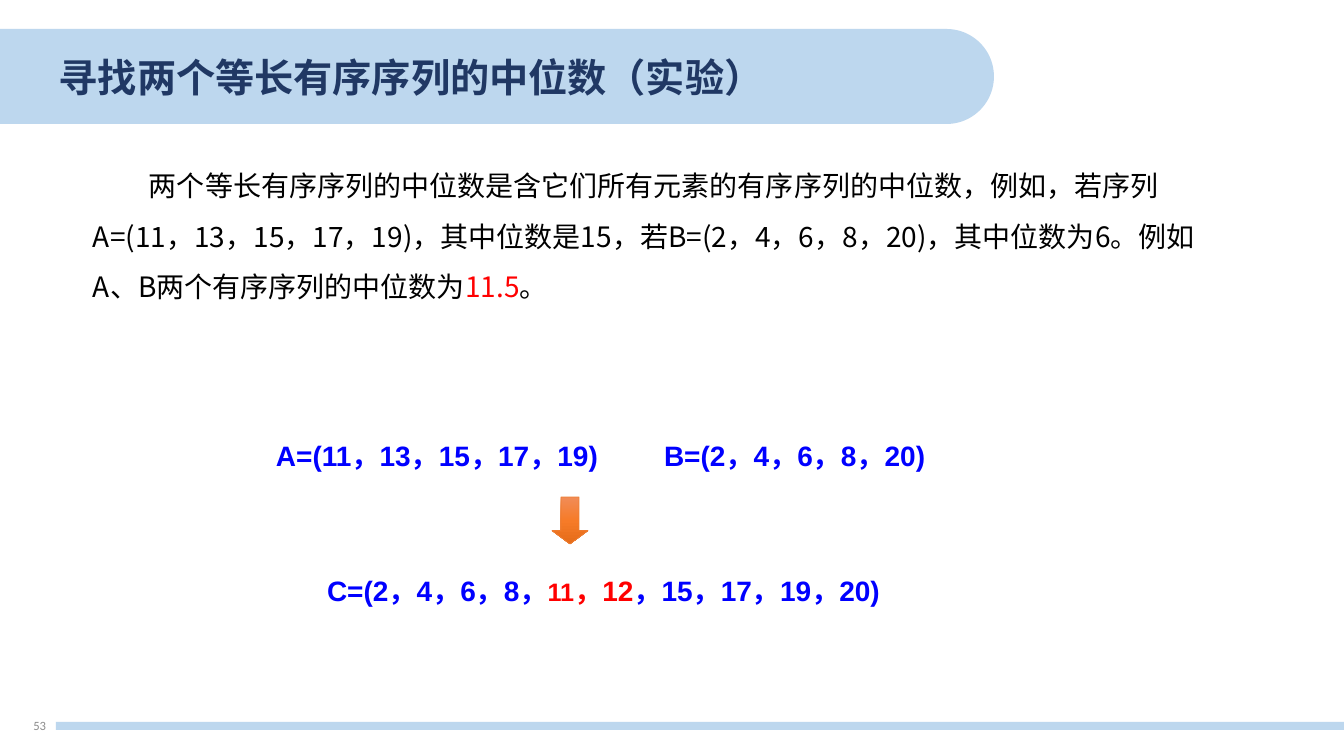
from copy import deepcopy
from dataclasses import dataclass

from lxml.etree import SubElement
from pptx import Presentation
from pptx.dml.color import RGBColor
from pptx.enum.shapes import MSO_SHAPE as Shape
from pptx.enum.text import MSO_ANCHOR as Anchor, MSO_AUTO_SIZE as AutoSize, PP_ALIGN as Align
from pptx.oxml.ns import qn
from pptx.util import Pt


@dataclass(frozen=True)
class Theme:
    band: str = "BDD7EE"
    heading: str = "203864"
    page: str = "8C8C8C"
    ink: str = "000000"
    sequence: str = "0000FF"
    accent: str = "FF0000"
    arrow_line: str = "ED7D31"
    arrow_stops: tuple = ((0, "F18C57"), (0.5, "F67B28"), (1, "E56C19"))
    cjk: str = "Noto Sans CJK SC"
    latin: str = "Arial"
    page_font: str = "Calibri"
    heading_size: int = 28
    body_size: int = 20
    median_size: int = 18
    page_size: int = 9


class SlideBuilder:
    """Draws styled elements on one slide, measured in px."""

    def __init__(self, deck, theme, emu_per_px):
        self.theme = theme
        self.scale = emu_per_px
        deck.slide_width, deck.slide_height = self.emu(1344, 756)
        self.slide = deck.slides.add_slide(deck.slide_layouts[6])

    def emu(self, *lengths):
        return [round(length * self.scale) for length in lengths]

    def shape(self, kind, box, fill=None, adjustments=()):
        shape = self.slide.shapes.add_shape(kind, *self.emu(*box))
        shape.shadow.inherit = False
        for index, value in enumerate(adjustments):
            shape.adjustments[index] = value
        if fill:
            shape.fill.solid()
            shape.fill.fore_color.rgb = RGBColor.from_string(fill)
            shape.line.fill.background()
        return shape

    def arrow(self, box):
        arrow = self.shape(Shape.DOWN_ARROW, box, adjustments=(0.5, 0.37))
        arrow.fill.gradient()
        arrow.fill.gradient_angle = 270
        stop_list = arrow.element.spPr.find(f"{qn('a:gradFill')}/{qn('a:gsLst')}")
        stop_list.insert(1, deepcopy(stop_list[0]))
        for stop, (position, color) in zip(arrow.fill.gradient_stops, self.theme.arrow_stops):
            stop.position = position
            stop.color.rgb = RGBColor.from_string(color)
        arrow.line.color.rgb = RGBColor.from_string(self.theme.arrow_line)
        arrow.line.width = Pt(0.5)

    def add_runs(self, shape, runs, font, bold=False, align=Align.LEFT,
                 anchor=Anchor.TOP, left_inset=10):
        frame = shape.text_frame
        frame.word_wrap = True
        frame.vertical_anchor = anchor
        (frame.margin_left, frame.margin_right,
         frame.margin_top, frame.margin_bottom) = self.emu(left_inset, 10, 5, 5)
        paragraph = frame.paragraphs[0]
        paragraph.alignment = align
        for text, size, color in runs:
            run = paragraph.add_run()
            run.text = text
            run.font.name = font
            run.font.size = Pt(size)
            run.font.bold = bold
            run.font.color.rgb = RGBColor.from_string(color)
            SubElement(run.font._element, qn("a:ea"), typeface=self.theme.cjk)
        return paragraph

    def text(self, box, runs, font, grow=True, **style):
        text_box = self.slide.shapes.add_textbox(*self.emu(*box))
        paragraph = self.add_runs(text_box, runs, font, **style)
        if grow:
            text_box.text_frame.auto_size = AutoSize.SHAPE_TO_FIT_TEXT
        return paragraph

    def sequence(self, box, runs):
        self.text(box, runs, self.theme.latin, bold=True)


def main():
    deck = Presentation()
    theme = Theme()
    page = SlideBuilder(deck, theme, 914400 / 100.8)
    size = theme.body_size

    page.shape(Shape.RECTANGLE, (56, 722, 1288, 8), theme.band)
    heading = page.shape(Shape.ROUNDED_RECTANGLE, (-74, 29, 1068, 95), theme.band, (0.5,))
    page.add_runs(heading, [("寻找两个等长有序序列的中位数（实验）", theme.heading_size, theme.heading)],
                  theme.cjk, bold=True, anchor=Anchor.MIDDLE, left_inset=119)
    page.text((0, 706, 56, 40), [("53", theme.page_size, theme.page)], theme.page_font,
              grow=False, align=Align.RIGHT, anchor=Anchor.MIDDLE)

    definition = page.text((83, 147, 1129, 157), [
        ("两个等长有序序列的中位数是含它们所有元素的有序序列的中位数，例如，若序列"
         "A=(11，13，15，17，19)，其中位数是15，若B=(2，4，6，8，20)，其中位数为6。"
         "例如A、B两个有序序列的中位数为", size, theme.ink),
        ("11.5", size, theme.accent),
        ("。", size, theme.ink),
    ], theme.cjk)
    definition.line_spacing = 1.5
    definition._p.get_or_add_pPr().set("indent", str(Pt(2 * size)))

    page.sequence((266, 433, 384, 44), [("A=(11，13，15，17，19)", size, theme.sequence)])
    page.sequence((654, 433, 330, 44), [("B=(2，4，6，8，20)", size, theme.sequence)])
    page.arrow((552, 497, 36, 47))
    page.sequence((317, 568, 690, 44), [
        ("C=(2，4，6，8，", size, theme.sequence),
        ("11", theme.median_size, theme.accent),
        ("，12", size, theme.accent),
        ("，15，17，19，20)", size, theme.sequence),
    ])
    deck.save("out.pptx")


if __name__ == "__main__":
    main()
